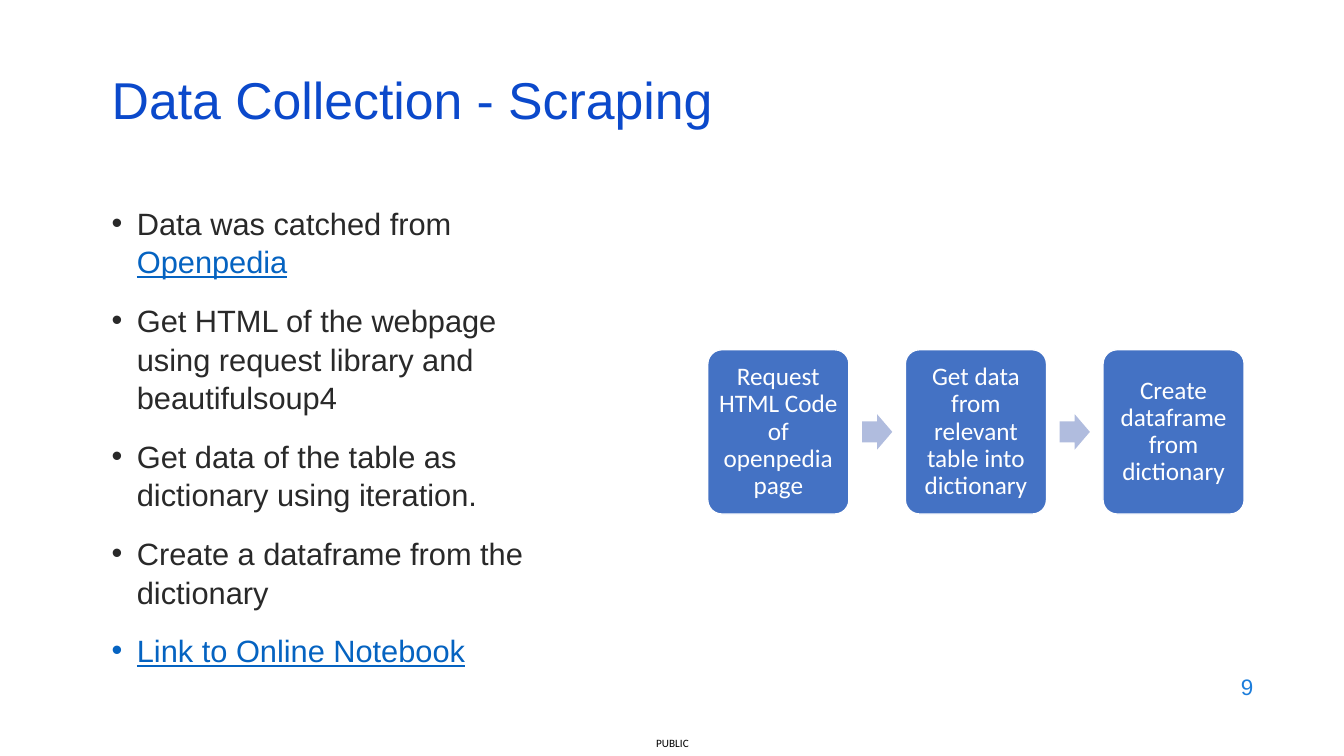
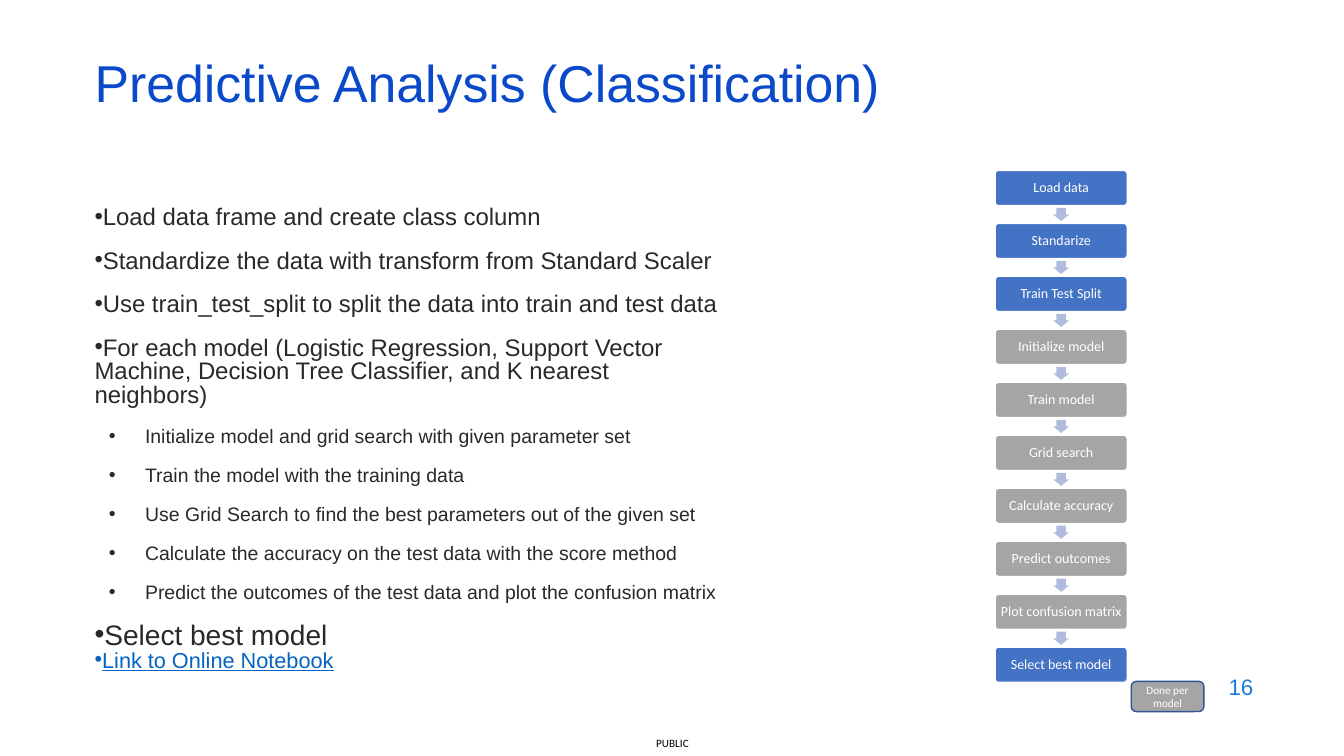
from lxml.etree import SubElement
from pptx import Presentation
from pptx.dml.color import RGBColor
from pptx.enum.shapes import MSO_SHAPE
from pptx.enum.text import MSO_ANCHOR, PP_ALIGN
from pptx.oxml.ns import qn
from pptx.util import Inches, Pt

WHITE, BLACK = "FFFFFF", "000000"
BLUE, GREY, ARROW, OUTLINE = "4472C4", "A5A5A5", "B0BCDE", "325491"
TITLE, BODY, LINK, NUMBER = "0B49CB", "292929", "0563C1", "1C7DDB"
SANS, LABEL = "Arial", "Calibri"

SCRAPING_POINTS = [
    [("Data was catched from ", BODY), ("Openpedia", LINK)],
    [("Get HTML of the webpage using request library and beautifulsoup4", BODY)],
    [("Get data of the table as dictionary using iteration.", BODY)],
    [("Create a dataframe from the dictionary", BODY)],
    [("Link to Online Notebook", LINK)],
]
SCRAPING_STEPS = [
    ("Request HTML Code of openpedia page", BLUE),
    ("Get data from relevant table into dictionary", BLUE),
    ("Create dataframe from dictionary", BLUE),
]
MODEL_POINTS = [
    "Load data frame and create class column",
    "Standardize the data with transform from Standard Scaler",
    "Use train_test_split to split the data into train and test data",
    "For each model (Logistic Regression, Support Vector Machine, "
    "Decision Tree Classifier, and K nearest neighbors)",
]
PER_MODEL_POINTS = [
    "Initialize model and grid search with given parameter set",
    "Train the model with the training data",
    "Use Grid Search to find the best parameters out of the given set",
    "Calculate the accuracy on the test data with the score method",
    "Predict the outcomes of the test data and plot the confusion matrix",
]
MODEL_STEPS = [
    ("Load data", BLUE),
    ("Standarize", BLUE),
    ("Train Test Split", BLUE),
    ("Initialize model", GREY),
    ("Train model", GREY),
    ("Grid search", GREY),
    ("Calculate accuracy", GREY),
    ("Predict outcomes", GREY),
    ("Plot confusion matrix", GREY),
    ("Select best model", BLUE),
]


def rgb(color):
    """Turn a hex string into a colour."""
    return RGBColor.from_string(color)


def add_run(paragraph, text, size, color, font=SANS):
    """Add one formatted run; links are underlined."""
    run = paragraph.add_run()
    run.text = text
    run.font.size = Pt(size)
    run.font.name = font
    run.font.color.rgb = rgb(color)
    if color == LINK:
        run.font.underline = True


def set_frame(frame, anchor, insets):
    """Set wrapping, anchor and the horizontal and vertical insets."""
    frame.word_wrap = True
    frame.vertical_anchor = anchor
    frame.margin_left = frame.margin_right = Inches(insets[0])
    frame.margin_top = frame.margin_bottom = Inches(insets[1])


def add_text(slide, box, text, size, color, font=SANS, align=PP_ALIGN.LEFT,
             spacing=1.0, insets=(0.1, 0.05)):
    """Add a one-paragraph text box centred on its height."""
    frame = slide.shapes.add_textbox(*map(Inches, box)).text_frame
    set_frame(frame, MSO_ANCHOR.MIDDLE, insets)
    paragraph = frame.paragraphs[0]
    paragraph.alignment = align
    paragraph.line_spacing = spacing
    add_run(paragraph, text, size, color, font)


def add_body(slide, box):
    """Add an empty body text box and return its frame."""
    frame = slide.shapes.add_textbox(*map(Inches, box)).text_frame
    set_frame(frame, MSO_ANCHOR.TOP, (0.1, 0.05))
    return frame


def add_bullet(frame, runs, size, spacing, left=0, hanging=0, before=14):
    """Add a bulleted paragraph made of (text, colour) runs."""
    paragraph = frame.paragraphs[0]
    if paragraph.runs:
        paragraph = frame.add_paragraph()
        paragraph.space_before = Pt(before)
    paragraph.line_spacing = spacing
    properties = paragraph._p.get_or_add_pPr()
    properties.set("marL", str(Inches(left)))
    properties.set("indent", str(-Inches(hanging)))
    SubElement(properties, qn("a:buFont")).set("typeface", SANS)
    SubElement(properties, qn("a:buChar")).set("char", "•")
    for text, color in runs:
        add_run(paragraph, text, size, color)


def add_shape(slide, kind, box, fill, outline=None, adjustments=()):
    """Add a flat filled preset shape."""
    shape = slide.shapes.add_shape(kind, *map(Inches, box))
    shape.shadow.inherit = False
    shape.fill.solid()
    shape.fill.fore_color.rgb = rgb(fill)
    if outline:
        shape.line.color.rgb = rgb(outline)
        shape.line.width = Pt(1)
    else:
        shape.line.fill.background()
    for index, value in enumerate(adjustments):
        shape.adjustments[index] = value
    return shape


def add_step(slide, box, text, fill, size, outline=WHITE, adjustments=(0.1,),
             insets=(0.04, 0.04), spacing=0.9):
    """Add a rounded box with a centred label."""
    step = add_shape(slide, MSO_SHAPE.ROUNDED_RECTANGLE, box, fill, outline, adjustments)
    set_frame(step.text_frame, MSO_ANCHOR.MIDDLE, insets)
    paragraph = step.text_frame.paragraphs[0]
    paragraph.alignment = PP_ALIGN.CENTER
    paragraph.line_spacing = spacing
    add_run(paragraph, text, size, WHITE, LABEL)


def add_flow(slide, steps, first_box, pitch, arrow_size, size, inset, vertical=False):
    """Add equally spaced steps with an arrow centred in each gap."""
    left, top, width, height = first_box
    arrow_width, arrow_height = arrow_size
    shift_x, shift_y = (0, pitch) if vertical else (pitch, 0)
    arrow_kind = MSO_SHAPE.DOWN_ARROW if vertical else MSO_SHAPE.RIGHT_ARROW
    for index, (text, fill) in enumerate(steps):
        x, y = left + index * shift_x, top + index * shift_y
        if index:
            arrow_x = x + (width - shift_x - arrow_width) / 2
            arrow_y = y + (height - shift_y - arrow_height) / 2
            add_shape(slide, arrow_kind, (arrow_x, arrow_y, arrow_width, arrow_height),
                      ARROW, adjustments=(0.6, 0.5))
        add_step(slide, (x, y, width, height), text, fill, size, insets=(inset, inset))


def add_slide(deck, title, left, top, number):
    """Add a blank slide with title, page number and classification."""
    slide = deck.slides.add_slide(deck.slide_layouts[6])
    add_text(slide, (6.38, 7.25, 0.58, 0.25), "PUBLIC", 8, BLACK, LABEL,
             PP_ALIGN.CENTER, insets=(0, 0))
    add_text(slide, (9.53, 6.59, 3, 0.44), number, 16, NUMBER, align=PP_ALIGN.RIGHT)
    add_text(slide, (left, top, 11.5, 0.6), title, 37, TITLE, spacing=0.7)
    return slide


def build_scraping(deck):
    """Build the data collection slide."""
    slide = add_slide(deck, "Data Collection - Scraping", 1.01, 0.76, "9")
    body = add_body(slide, (1.01, 1.96, 4.3, 4.17))
    for runs in SCRAPING_POINTS:
        add_bullet(body, runs, 22, 1.05, 0.25, 0.25)
    add_flow(slide, SCRAPING_STEPS, (7.02, 3.47, 1.4, 1.63), 1.96, (0.3, 0.35), 18, 0.07)


def build_classification(deck):
    """Build the predictive analysis slide."""
    slide = add_slide(deck, "Predictive Analysis (Classification)", 0.84, 0.59, "16")
    body = add_body(slide, (0.84, 2, 6.42, 5.32))
    for text in MODEL_POINTS:
        add_bullet(body, [(text, BODY)], 17.1, 0.83)
    for text in PER_MODEL_POINTS:
        add_bullet(body, [(text, BODY)], 13.9, 0.83, 0.5, 0.36)
    add_bullet(body, [("Select best model", BODY)], 20.1, 0.83)
    add_bullet(body, [("Link to Online Notebook", LINK)], 15.5, 0.7, before=2)
    add_flow(slide, MODEL_STEPS, (9.87, 1.69, 1.31, 0.35), 4.73 / 9, (0.16, 0.13),
             10, 0.04, vertical=True)
    add_step(slide, (11.22, 6.76, 0.72, 0.3), "Done per model", GREY, 8, OUTLINE,
             adjustments=(), insets=(0.1, 0.05), spacing=1.0)


def main():
    """Build and save the deck."""
    deck = Presentation()
    deck.slide_width, deck.slide_height = Inches(13.33), Inches(7.5)
    build_scraping(deck)
    build_classification(deck)
    deck.save("out.pptx")


if __name__ == "__main__":
    main()
